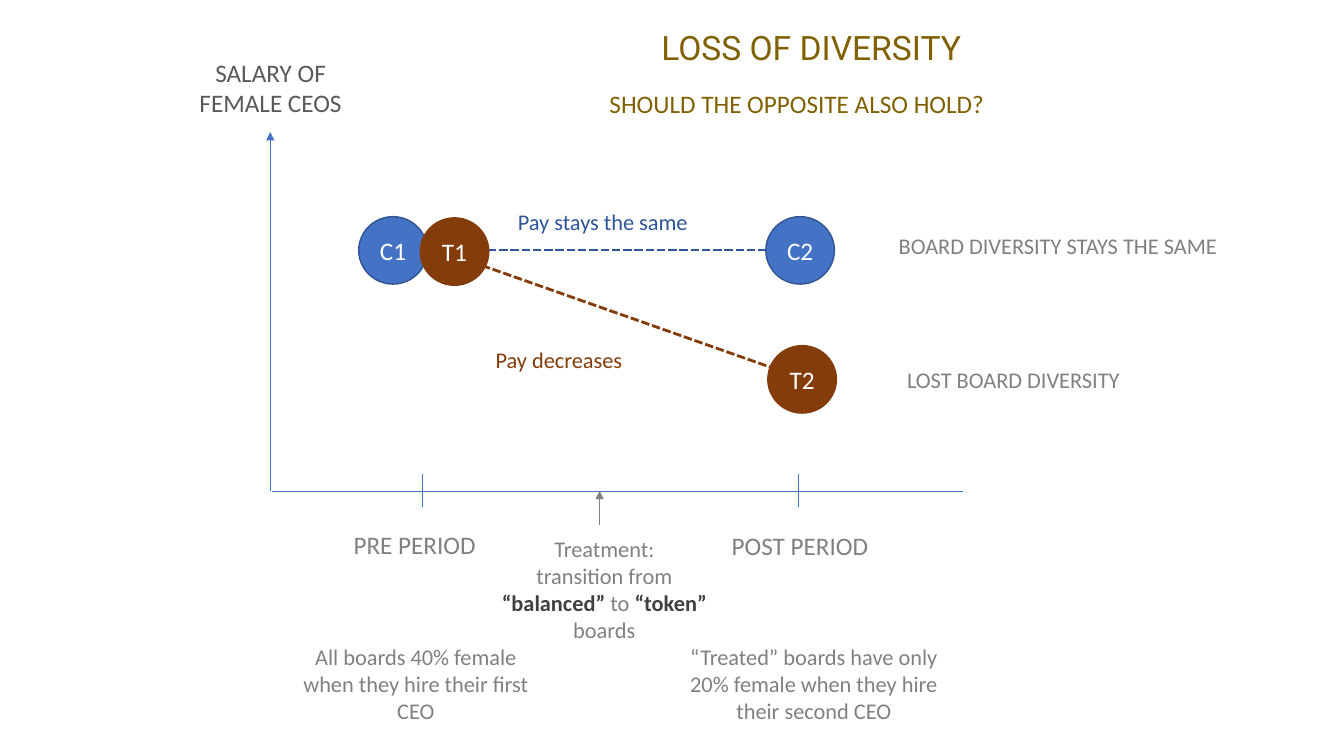
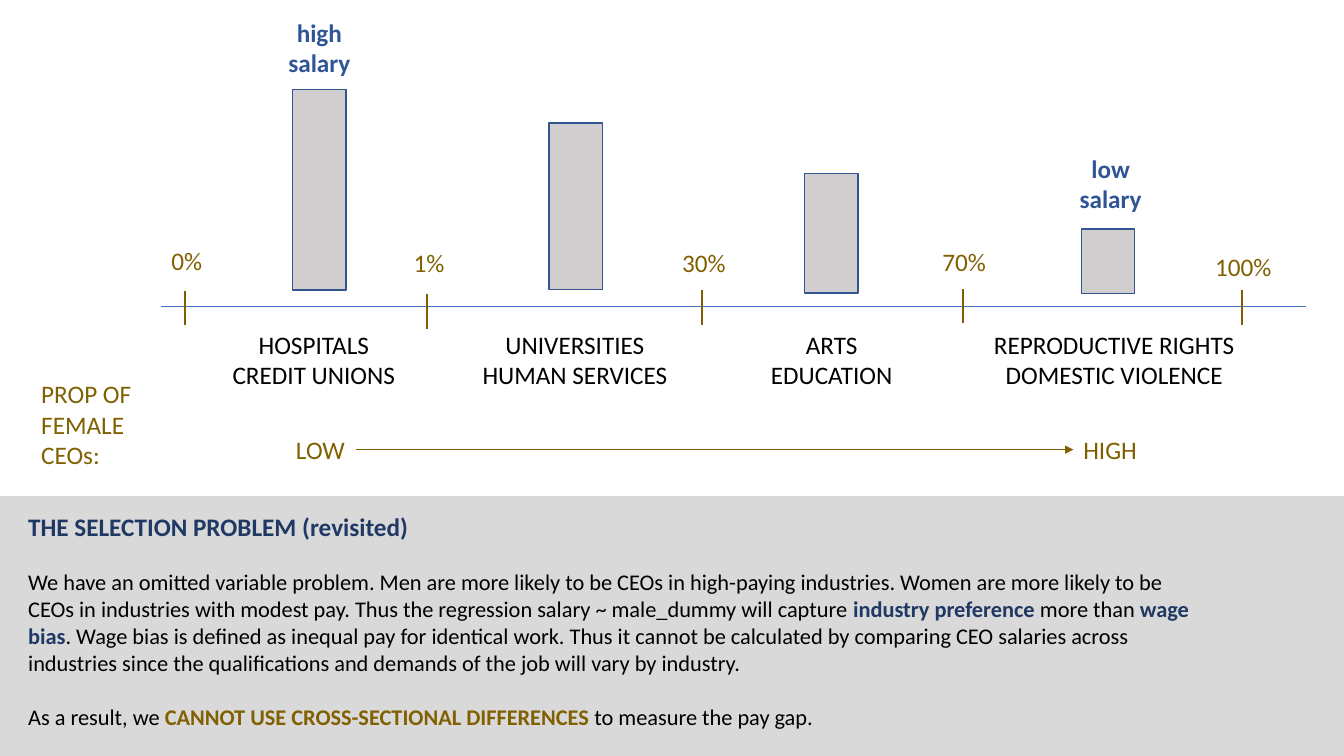
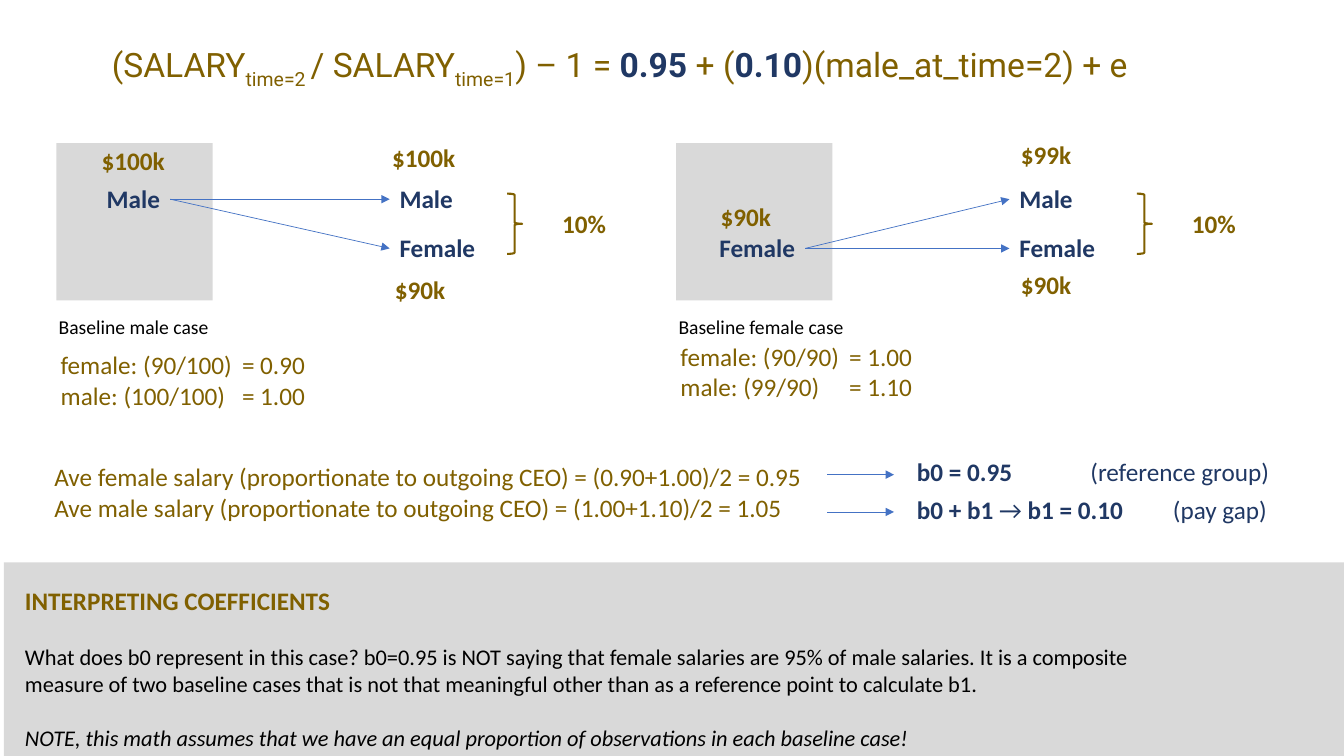
from lxml.etree import SubElement
from pptx import Presentation
from pptx.dml.color import RGBColor as RGB
from pptx.enum.dml import MSO_LINE as Dash
from pptx.enum.shapes import MSO_CONNECTOR as Link, MSO_SHAPE as Kind
from pptx.enum.text import MSO_ANCHOR as Anchor, PP_ALIGN as Align
from pptx.oxml.ns import qn
from pptx.util import Cm, Pt

HUES = {
    "gold": "806000", "navy": "203864", "blue": "4472C4", "deep": "2F5597",
    "edge": "325491", "rust": "843C0B", "gray": "808080", "dark": "404040",
    "slate": "595959", "band": "D9D9D9", "bar": "D0CECE",
    "black": "000000", "white": "FFFFFF",
}
HUES = {name: RGB.from_string(code) for name, code in HUES.items()}


def put(page, at, text="", hue="black", size=18, bold=False, mid=False, pop="navy",
        gap=0, face="Calibri", kind=None, fill=None, edge=None, thick=1):
    at = [Cm(n) for n in at]
    if kind is None:
        shape = page.shapes.add_textbox(*at)
    else:
        shape = page.shapes.add_shape(kind, *at)
        shape.shadow.inherit = False
        shape.fill.background()
        shape.line.fill.background()
        if fill:
            shape.fill.solid()
            shape.fill.fore_color.rgb = HUES[fill]
        if edge:
            shape.line.color.rgb = HUES[edge]
            shape.line.width = Pt(thick)
    frame = shape.text_frame
    frame.word_wrap = True
    frame.vertical_anchor = Anchor.MIDDLE if kind else Anchor.TOP
    frame.text = text
    for row, para in enumerate(frame.paragraphs):
        para.alignment = Align.CENTER if mid else Align.LEFT
        if gap and row:
            para.space_before = Pt(gap)
        bits = para.text.split("|")
        para.text = ""
        for i, bit in enumerate(bits):
            if bit:
                run = para.add_run()
                run.text = bit
                run.font.name = face
                run.font.size = Pt(size)
                run.font.bold = bold or i % 2 == 1
                run.font.color.rgb = HUES[pop if i % 2 else hue]
    return frame


def draw(page, x1, y1, x2, y2, hue="blue", thick=0.5, head=False, dash=False):
    link = page.shapes.add_connector(Link.STRAIGHT, Cm(x1), Cm(y1), Cm(x2), Cm(y2))
    link.line.color.rgb = HUES[hue]
    link.line.width = Pt(thick)
    if dash:
        link.line.dash_style = Dash.SQUARE_DOT
    if head:
        SubElement(link.line._get_or_add_ln(), qn("a:tailEnd"), type="triangle")
    SubElement(link._element.spPr, qn("a:effectLst"))


deck = Presentation()
deck.slide_width, deck.slide_height = Cm(33.87), Cm(19.05)
loss, pick, math = [deck.slides.add_slide(deck.slide_layouts[6]) for _ in range(3)]

PICK = """|THE SELECTION PROBLEM (revisited)|
We have an omitted variable problem. Men are more likely to be CEOs in high-paying \
industries. Women are more likely to be CEOs in industries with modest pay. Thus the \
regression salary ~ male_dummy will capture |industry preference |more than |wage bias|. \
Wage bias is defined as inequal pay for identical work. Thus it cannot be calculated by \
comparing CEO salaries across industries since the qualifications and demands of the job \
will vary by industry.
As a result, we |CANNOT USE CROSS-SECTIONAL DIFFERENCES |to measure the pay gap."""
MATH = """|INTERPRETING COEFFICIENTS|
What does b0 represent in this case? b0=0.95 is NOT saying that female salaries are 95% \
of male salaries. It is a composite measure of two baseline cases that is not that \
meaningful other than as a reference point to calculate b1.
NOTE, this math assumes that we have an equal proportion of observations in each \
baseline case!"""
notes = []
for page, left, top, x, y, text, pop in (
    (pick, 0, 12.5, 0.46, 12.75, PICK, "navy"),
    (math, 0.1, 14.17, 0.38, 14.63, MATH, "gold"),
):
    put(page, (left, top, 33.87 - left, 19.05 - top), kind=Kind.RECTANGLE, fill="band")
    note = put(page, (x, y, 30.23, 4.4), text, size=16, pop=pop, gap=19.5)
    note.paragraphs[0].runs[0].font.size = Pt(18)
    notes.append(note)
notes[0].paragraphs[2].runs[1].font.color.rgb = HUES["gold"]
notes[1].paragraphs[2].runs[0].font.italic = True

draw(loss, 11.61, 6.5, 19.89, 9.42, "rust", 2, dash=True)
draw(loss, 10.59, 6.3, 19.3, 6.3, "deep", 2, dash=True)
draw(loss, 6.81, 12.37, 6.81, 3.33, head=True)
draw(loss, 6.86, 12.37, 24.28, 12.37)
for x in (10.64, 20.12):
    draw(loss, x, 11.94, x, 12.78)
draw(loss, 15.11, 13.23, 15.11, 12.37, "gray", 1.25, head=True)

put(loss, (15.83, 0.56, 9.23, 1.27), "LOSS OF DIVERSITY", "gold", 24, mid=True, face="Roboto")
put(loss, (15.11, 2.11, 12.78, 1.02), "SHOULD THE OPPOSITE ALSO HOLD?", "gold")
put(loss, (4.7, 1.32, 4.24, 1.8), "SALARY OF FEMALE CEOS", "slate", mid=True)
put(loss, (8.66, 13.21, 4.2, 1.02), "PRE PERIOD", "gray")
put(loss, (18.19, 13.23, 4.6, 1.02), "POST PERIOD", "gray")
for at, text in (
    ((12.07, 13.36, 6.32, 3),
     "Treatment:\ntransition from |“balanced” |to |“token” |boards"),
    ((16.94, 16.08, 7.14, 2.31),
     "“Treated” boards have only 20% female when they hire their second CEO"),
    ((7.32, 16.08, 6.32, 2.31), "All boards 40% female when they hire their first CEO"),
    ((22.38, 9.09, 6.32, 0.94), "LOST BOARD DIVERSITY"),
    ((22.33, 5.72, 8.66, 0.94), "BOARD DIVERSITY STAYS THE SAME"),
):
    put(loss, at, text, "gray", 16, mid=True, pop="dark")
put(loss, (12.8, 5.11, 5.79, 0.94), "Pay stays the same", "deep", 16)
put(loss, (12.24, 8.59, 4.7, 0.94), "Pay decreases", "rust", 16)
for name, x, y, fill, edge in (
    ("C2", 19.3, 5.46, "blue", "edge"), ("C1", 9.04, 5.46, "blue", "edge"),
    ("T2", 19.35, 8.71, "rust", "rust"), ("T1", 10.59, 5.49, "rust", "rust"),
):
    put(loss, (x, y, 1.73, 1.7), name, "white", mid=True, kind=Kind.OVAL, fill=fill, edge=edge)

draw(pick, 4.06, 7.72, 32.92, 7.72)
for text, x, y, top in (
    ("0%", 4.67, 7.34, 6.05), ("1%", 10.77, 7.42, 6.12), ("30%", 17.7, 7.32, 6.1),
    ("70%", 24.26, 7.29, 6.07), ("100%", 31.29, 7.32, 6.2),
):
    draw(pick, x, y, x, y + 0.86, "gold", 1.5)
    put(pick, (x - 1.8, top, 3.68, 1.02), text, "gold", mid=True)
for text, center, x, y, tall in (
    ("HOSPITALS\nCREDIT UNIONS", 7.91, 7.37, 2.26, 5.05),
    ("UNIVERSITIES\nHUMAN SERVICES", 14.49, 13.84, 3.1, 4.19),
    ("ARTS\nEDUCATION", 20.96, 20.27, 4.37, 3.02),
    ("REPRODUCTIVE RIGHTS\nDOMESTIC VIOLENCE", 28.08, 27.25, 5.77, 1.63),
):
    put(pick, (x, y, 1.35, tall), kind=Kind.RECTANGLE, fill="bar", edge="edge")
    put(pick, (center - 3.5, 8.18, 7, 1.8), text, mid=True)
put(pick, (6.51, 0.3, 3.08, 1.8), "high\nsalary", "deep", bold=True, mid=True)
put(pick, (26.45, 3.73, 3.08, 1.8), "low\nsalary", "deep", bold=True, mid=True)
put(pick, (0.79, 9.42, 3.6, 2.57), "PROP OF\nFEMALE\nCEOs:", "gold")
put(pick, (7.21, 10.82, 2.2, 1.02), "LOW", "gold")
put(pick, (27.05, 10.82, 2.4, 1.02), "HIGH", "gold")
draw(pick, 8.97, 11.33, 27.05, 11.33, "gold", head=True)

title = put(math, (2.57, 0.99, 28.5, 1.27),
            "(SALARY|time=2 |/ SALARY|time=1|) – 1 = |0.95| + (|0.10|)(male_at_time=2) + e",
            "gold", 24, face="Roboto")
for i in (1, 3):
    run = title.paragraphs[0].runs[i]
    run.font.bold = False
    run.font.color.rgb = HUES["gold"]
    run._r.get_or_add_rPr().set("baseline", "-25000")

for left, who, x, y, start, brace, sums, top, stop in (
    (1.42, "Male", 2.44, 4.5, 4.29, 12.78,
     "female: (90/100)\t= 0.90\nmale: (100/100)\t= 1.00", 8.69, 4.57),
    (17.04, "Female", 17.88, 5.74, 20.29, 28.65,
     "female: (90/90)\t= 1.00\nmale: (99/90)\t= 1.10", 8.48, 4.25),
):
    put(math, (left, 3.61, 3.94, 3.96), kind=Kind.RECTANGLE, fill="band")
    put(math, (x, y, 3, 1.02), who, "navy", bold=True)
    for name, row in (("Male", 4.5), ("Female", 5.74)):
        put(math, (left + 8.4, row, 3, 1.02), name, "navy", bold=True)
        draw(math, start, y + 0.52, left + 8.4, row + 0.52, head=True)
    put(math, (brace, 4.88, 0.38, 1.52), kind=Kind.RIGHT_BRACE, edge="gold", thick=1.5)
    put(math, (brace + 1.14, 5.13, 2.2, 1.02), "10%", "gold", bold=True)
    put(math, (left - 0.19, 7.82, 5.4, 0.86), f"Baseline {who.lower()} case", size=14)
    frame = put(math, (left - 0.14, top, 7.5, 1.8), sums, "gold")
    for para in frame.paragraphs:
        tabs = SubElement(para._p.get_or_add_pPr(), qn("a:tabLst"))
        SubElement(tabs, qn("a:tab"), pos=str(Cm(stop)), algn="l")

for text, x, y in (
    ("$100k", 2.31, 3.53), ("$100k", 9.63, 3.45), ("$90k", 9.7, 6.78),
    ("$90k", 17.91, 4.95), ("$99k", 25.48, 3.38), ("$90k", 25.48, 6.65),
):
    put(math, (x, y, 2.6, 1.02), text, "gold", bold=True)

put(math, (1.12, 11.51, 20.6, 1.8),
    "Ave female salary (proportionate to outgoing CEO) = (0.90+1.00)/2 = 0.95\n"
    "Ave male salary (proportionate to outgoing CEO) = (1.00+1.10)/2 = 1.05", "gold")
for y, text, x, role in (
    (11.38, "|b0 = 0.95|", 27.23, "(reference group)"),
    (12.32, "|b0 + b1 |→| b1 = 0.10|", 29.31, "(pay gap)"),
):
    draw(math, 20.85, y + 0.58, 22.53, y + 0.58, head=True)
    put(math, (22.86, y, 6.5, 1.02), text, "navy")
    put(math, (x, y, 5.6 if x < 28 else 3.6, 1.02), role, "navy")

deck.save("out.pptx")
